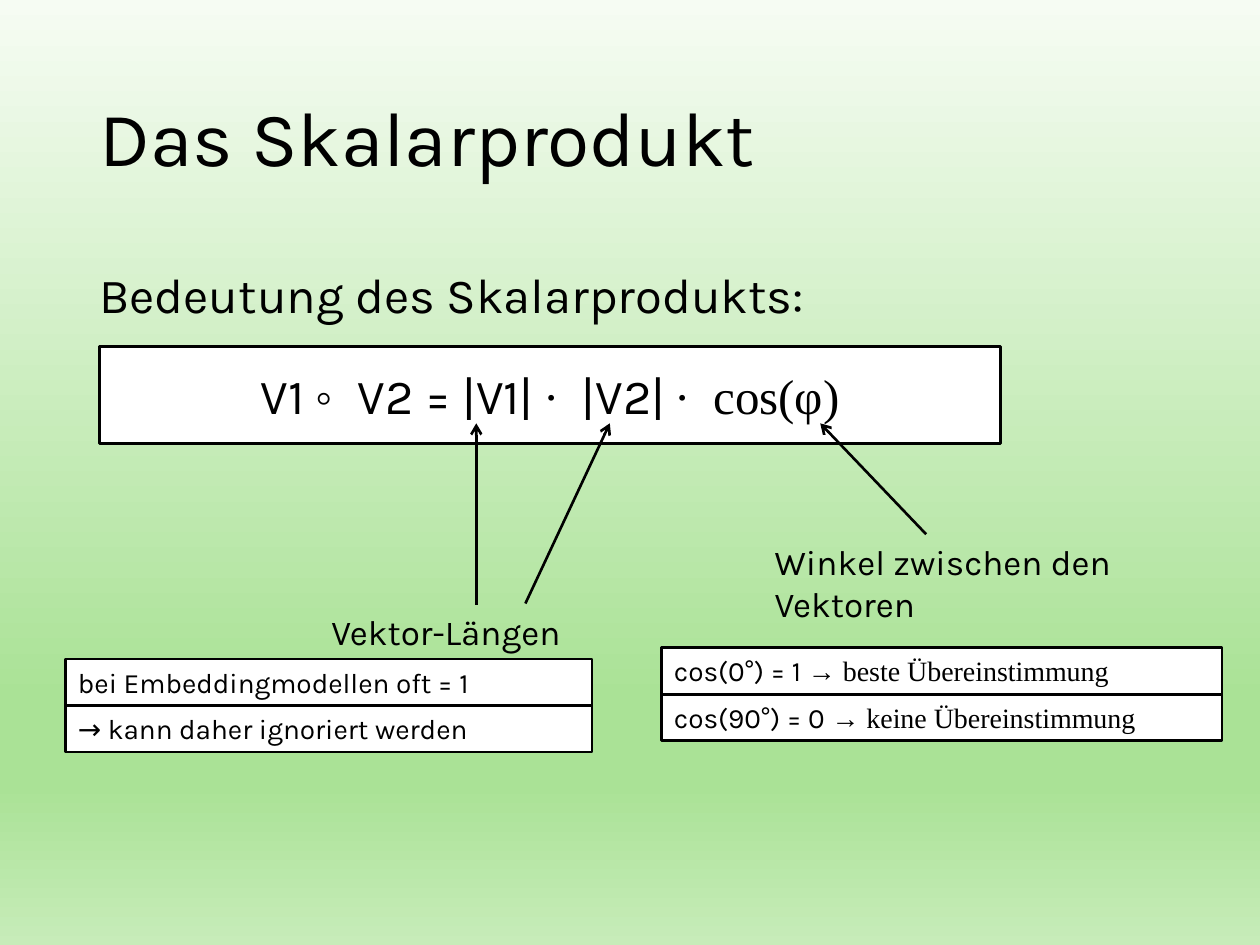
from lxml import etree
from pptx import Presentation
from pptx.dml.color import RGBColor
from pptx.enum.shapes import MSO_CONNECTOR, MSO_SHAPE
from pptx.enum.text import MSO_ANCHOR, PP_ALIGN
from pptx.oxml.ns import qn
from pptx.util import Inches, Pt

LEFT, CENTER = PP_ALIGN.LEFT, PP_ALIGN.CENTER
TOP, MIDDLE = MSO_ANCHOR.TOP, MSO_ANCHOR.MIDDLE
RECTANGLE, STRAIGHT = MSO_SHAPE.RECTANGLE, MSO_CONNECTOR.STRAIGHT

BLACK = RGBColor(0x00, 0x00, 0x00)
WHITE = RGBColor(0xFF, 0xFF, 0xFF)
PALE_GREEN = RGBColor(0xF6, 0xFC, 0xF3)
GREEN = RGBColor(0xAA, 0xE2, 0x96)
LIGHT_GREEN = RGBColor(0xC7, 0xEC, 0xB9)
BACKGROUND_STOPS = [(0, PALE_GREEN), (74, GREEN), (83, GREEN), (100, LIGHT_GREEN)]

SANS, SERIF = "Karla", "Times New Roman"
LINE_WIDTH = Pt(1.5)
ROW_HEIGHT = 0.37


class SlideBuilder:
    def __init__(self, slide):
        self.slide = slide

    def background(self, stops):
        """Fill the background from top to bottom with (percent, colour) stops."""
        fill = self.slide.background.fill
        fill.gradient()
        fill.gradient_angle = 270
        stop_list = next(self.slide.element.iter(qn("a:gsLst")))
        for stop in list(stop_list):
            stop_list.remove(stop)
        for percent, color in stops:
            stop = etree.SubElement(stop_list, qn("a:gs"), pos=str(percent * 1000))
            etree.SubElement(stop, qn("a:srgbClr"), val=str(color))

    def set_text(self, sp, parts, size, align, anchor, spacing=None):
        """Put (text, font) parts into one paragraph of the shape."""
        tf = sp.text_frame
        tf.word_wrap = True
        tf.vertical_anchor = anchor
        p = tf.paragraphs[0]
        p.alignment = align
        if spacing:
            p.line_spacing = spacing
        for text, font in parts:
            r = p.add_run()
            r.text = text
            r.font.name = font
            r.font.size = Pt(size)
            r.font.color.rgb = BLACK

    def text(self, x, y, w, h, text, size, align=LEFT, anchor=TOP, spacing=None):
        sp = self.slide.shapes.add_textbox(Inches(x), Inches(y), Inches(w), Inches(h))
        self.set_text(sp, [(text, SANS)], size, align, anchor, spacing)

    def box(self, x, y, w, h, parts, size, align=LEFT, anchor=TOP):
        sp = self.slide.shapes.add_shape(
            RECTANGLE, Inches(x), Inches(y), Inches(w), Inches(h))
        sp.shadow.inherit = False
        sp.fill.solid()
        sp.fill.fore_color.rgb = WHITE
        sp.line.color.rgb = BLACK
        sp.line.width = LINE_WIDTH
        self.set_text(sp, parts, size, align, anchor)

    def rows(self, x, y, w, rows):
        """Stack boxes of equal height without gaps."""
        for i, parts in enumerate(rows):
            self.box(x, y + i * ROW_HEIGHT, w, ROW_HEIGHT, parts, 16)

    def arrow(self, x1, y1, x2, y2):
        connector = self.slide.shapes.add_connector(
            STRAIGHT, Inches(x1), Inches(y1), Inches(x2), Inches(y2))
        connector.line.color.rgb = BLACK
        connector.line.width = LINE_WIDTH
        etree.SubElement(connector.get_or_add_ln(), qn("a:tailEnd"), type="arrow")
        etree.SubElement(connector.element.spPr, qn("a:effectLst"))


def main():
    prs = Presentation()
    prs.slide_width, prs.slide_height = Inches(10), Inches(7.5)
    s = SlideBuilder(prs.slides.add_slide(prs.slide_layouts[6]))
    s.background(BACKGROUND_STOPS)

    s.text(0.69, 0.4, 8.62, 1.45, "Das Skalarprodukt", 44, anchor=MIDDLE, spacing=0.9)
    s.text(0.69, 2.05, 8.81, 0.57, "Bedeutung des Skalarprodukts:", 28)

    formula = [("V1 ", SANS), ("◦  ", SERIF), ("V2 = |V1| ", SANS),
               ("∙  ", SERIF), ("|V2| ", SANS), ("∙  cos(φ)", SERIF)]
    s.box(0.79, 2.75, 7.15, 0.77, formula, 28, CENTER, MIDDLE)

    formula_y = 3.36
    for x1, y1, x2 in [(3.78, 4.8, 3.78), (4.17, 4.79, 4.84), (7.35, 4.24, 6.51)]:
        s.arrow(x1, y1, x2, formula_y)

    s.text(2.24, 4.8, 2.6, 0.44, "Vektor-Längen", 20, CENTER)
    s.text(6.05, 4.24, 2.87, 0.77, "Winkel zwischen den Vektoren", 20)

    s.rows(0.52, 5.23, 4.18, [
        [("bei Embeddingmodellen oft = 1", SANS)],
        [("→ kann daher ignoriert werden", SANS)],
    ])
    s.rows(5.25, 5.14, 4.45, [
        [("cos(0°) = 1 ", SANS), ("→ beste Übereinstimmung", SERIF)],
        [("cos(90°) = 0 ", SANS), ("→ keine Übereinstimmung", SERIF)],
    ])

    prs.save("out.pptx")


if __name__ == "__main__":
    main()
